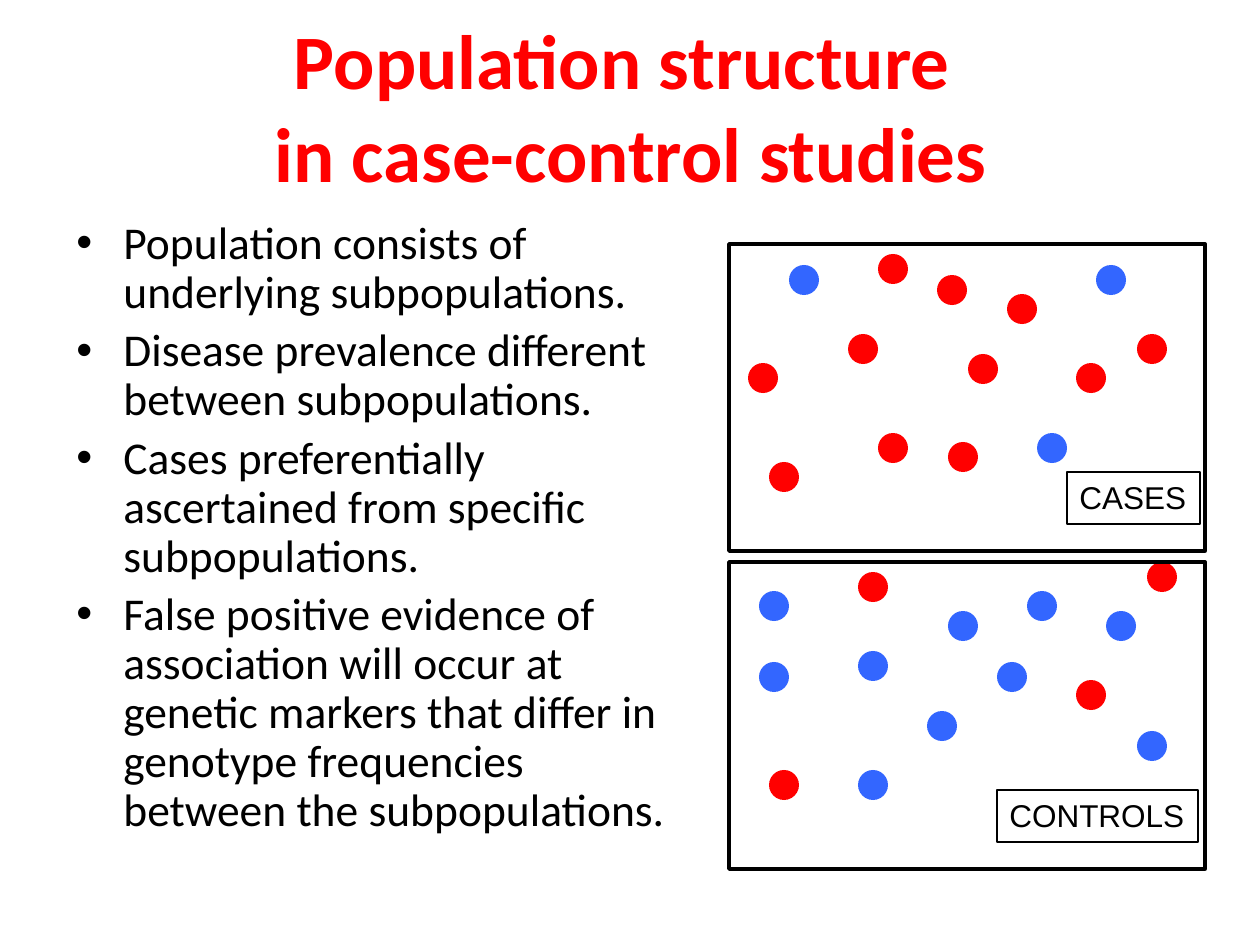
from lxml.etree import SubElement
from pptx import Presentation
from pptx.dml.color import RGBColor
from pptx.enum.shapes import MSO_SHAPE
from pptx.enum.text import MSO_ANCHOR, MSO_AUTO_SIZE, PP_ALIGN
from pptx.oxml.ns import qn
from pptx.util import Emu, Pt

PX_PER_INCH = 126
DOT = 30
RED = RGBColor(0xFF, 0x00, 0x00)
BLUE = RGBColor(0x33, 0x66, 0xFF)
BLACK = RGBColor(0x00, 0x00, 0x00)

TITLE = ["Population structure ", "in case-control studies"]
POINTS = [
    "Population consists of underlying subpopulations.",
    "Disease prevalence different between subpopulations.",
    "Cases preferentially ascertained from specific subpopulations.",
    "False positive evidence of association will occur at genetic markers "
    "that differ in genotype frequencies between the subpopulations.",
]
RED_CASES = [
    (1137, 334), (937, 275), (748, 363), (878, 254), (1007, 294), (1076, 363),
    (769, 462), (878, 433), (848, 334), (968, 354), (948, 442),
]
RED_CONTROLS = [(1147, 562), (769, 770), (858, 572), (1076, 680)]
BLUE_CASES = [(1037, 433), (789, 265), (1096, 265)]
BLUE_CONTROLS = [
    (927, 711), (858, 651), (858, 770), (759, 662), (1137, 731),
    (759, 591), (948, 611), (997, 662), (1027, 591), (1106, 611),
]


def px(*lengths):
    return [Emu(round(n * 914400 / PX_PER_INCH)) for n in lengths]


def add_run(p, text, font, size, color, bold=False):
    r = p.add_run()
    r.text = text
    r.font.name = font
    r.font.size = Pt(size)
    r.font.bold = bold
    r.font.color.rgb = color


def add_title(slide, box, lines):
    tf = slide.shapes.add_textbox(*px(*box)).text_frame
    tf.word_wrap = True
    tf.vertical_anchor = MSO_ANCHOR.MIDDLE
    p = tf.paragraphs[0]
    p.alignment = PP_ALIGN.CENTER
    for i, line in enumerate(lines):
        if i:
            p.add_line_break()
        add_run(p, line, "Calibri", 44, RED, True)


def add_bullets(slide, box, points):
    tf = slide.shapes.add_textbox(*px(*box)).text_frame
    tf.word_wrap = True
    indent = px(47)[0]
    for i, point in enumerate(points):
        p = tf.add_paragraph() if i else tf.paragraphs[0]
        p.line_spacing = 0.9
        p.space_before = Pt(5.2)
        pPr = p._p.get_or_add_pPr()
        pPr.set("marL", str(indent))
        pPr.set("indent", str(-indent))
        SubElement(pPr, qn("a:buFont")).set("typeface", "Arial")
        SubElement(pPr, qn("a:buChar")).set("char", "•")
        add_run(p, point, "Calibri", 26, BLACK)


def add_dots(slide, places, color):
    for left, top in places:
        sp = slide.shapes.add_shape(MSO_SHAPE.OVAL, *px(left, top, DOT, DOT))
        sp.shadow.inherit = False
        sp.fill.solid()
        sp.fill.fore_color.rgb = color
        sp.line.fill.background()


def add_frame(slide, box, width):
    sp = slide.shapes.add_shape(MSO_SHAPE.RECTANGLE, *px(*box))
    sp.shadow.inherit = False
    sp.fill.background()
    sp.line.color.rgb = BLACK
    sp.line.width = Pt(width)
    return sp


def add_label(slide, box, text):
    tf = add_frame(slide, box, 0.75).text_frame
    tf.word_wrap = False
    tf.auto_size = MSO_AUTO_SIZE.SHAPE_TO_FIT_TEXT
    tf.vertical_anchor = MSO_ANCHOR.TOP
    p = tf.paragraphs[0]
    p.alignment = PP_ALIGN.LEFT
    add_run(p, text, "Arial", 18, BLACK)


def main():
    prs = Presentation()
    prs.slide_width, prs.slide_height = px(1260, 945)
    slide = prs.slides.add_slide(prs.slide_layouts[6])
    add_title(slide, (64, 26, 1134, 158), TITLE)
    add_bullets(slide, (64, 214, 626, 629), POINTS)
    add_dots(slide, RED_CASES + RED_CONTROLS, RED)
    add_label(slide, (1067, 472, 133, 52), "CASES")
    add_label(slide, (997, 790, 201, 52), "CONTROLS")
    add_dots(slide, BLUE_CASES + BLUE_CONTROLS, BLUE)
    for top in (244, 562):
        add_frame(slide, (729, top, 476, 307), 2)
    prs.save("out.pptx")


if __name__ == "__main__":
    main()
